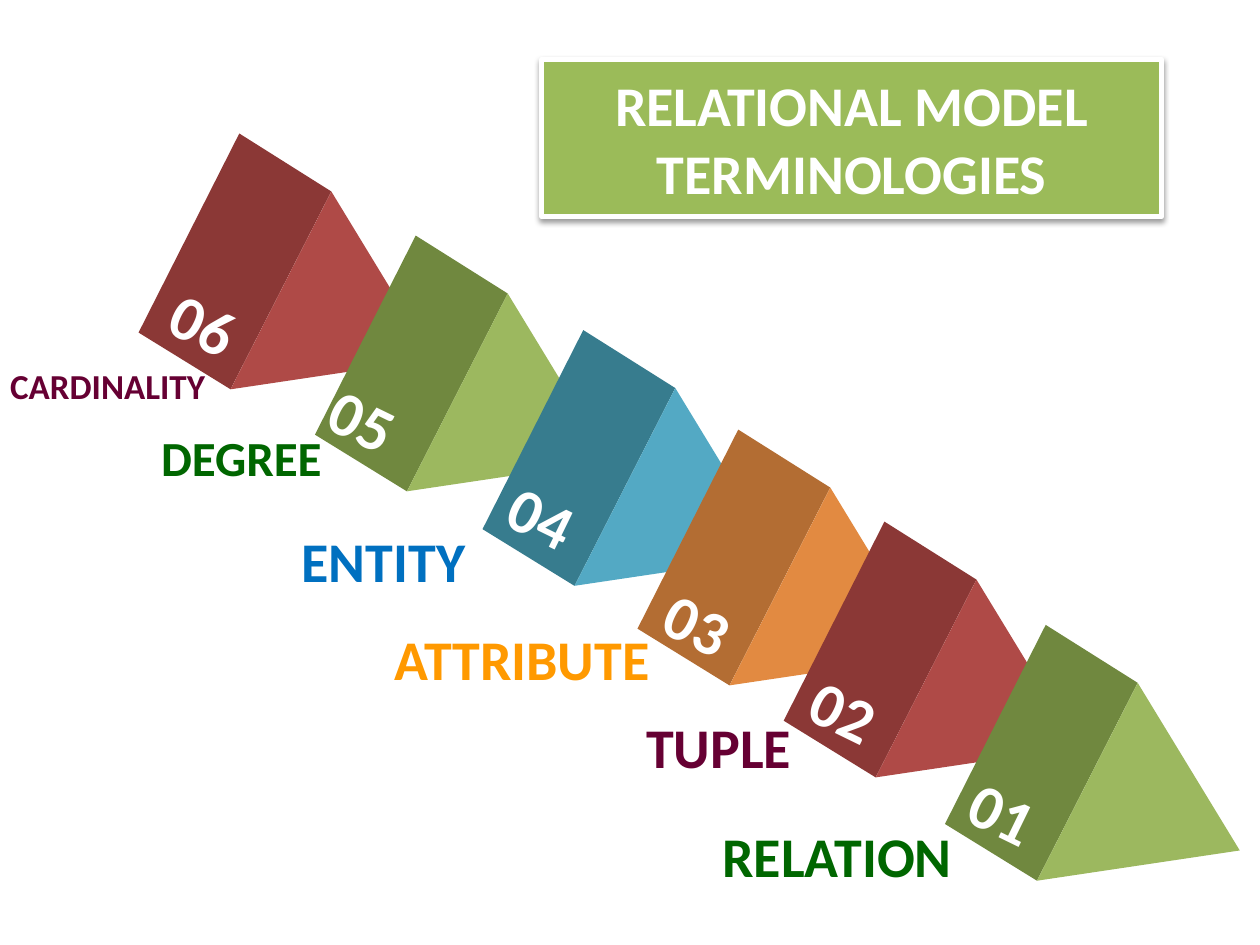
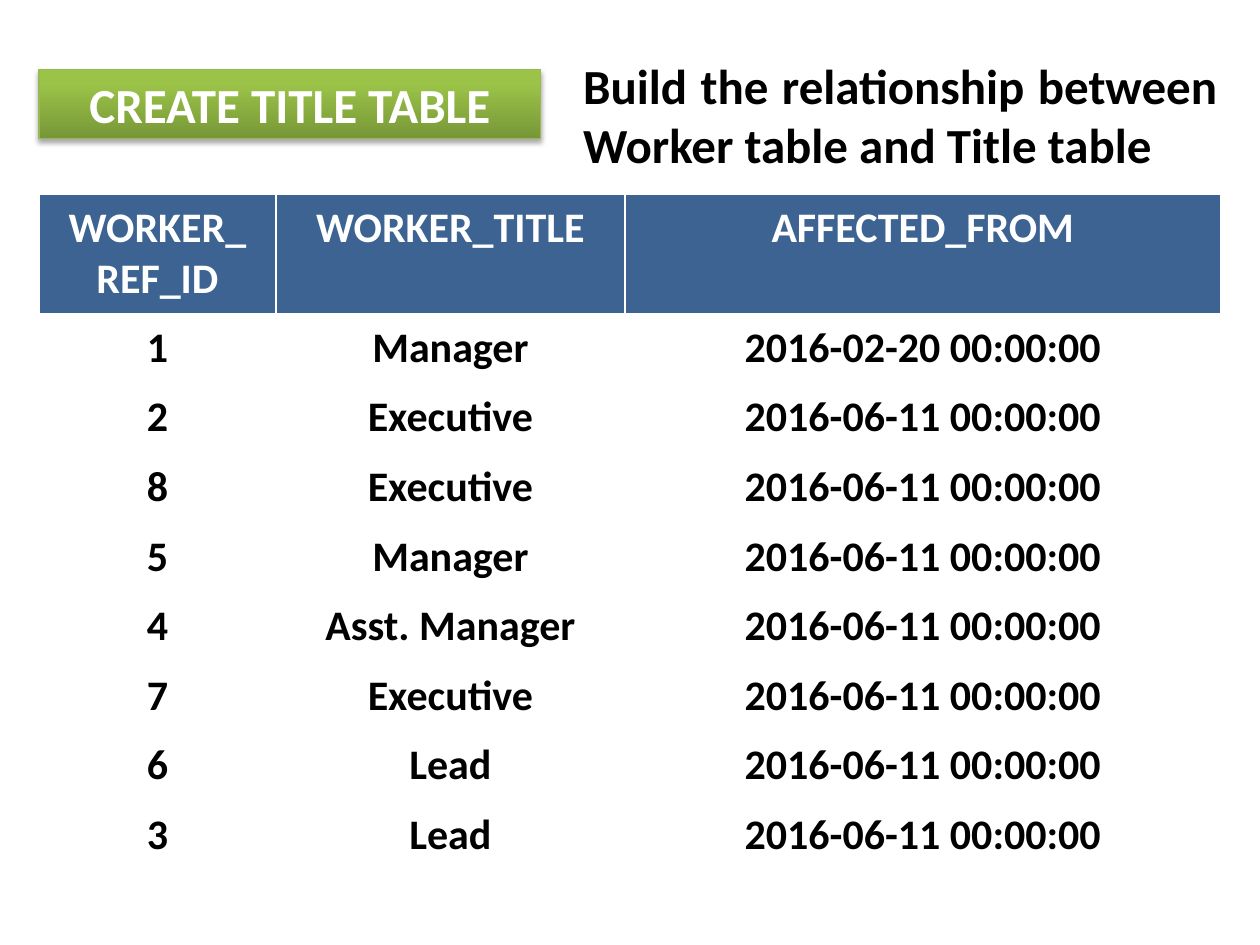
"""Build two slides on relational model terms and the title table."""
import pptx
import pptx.dml.color
import pptx.enum.shapes
import pptx.enum.text
import pptx.oxml
import pptx.oxml.ns
import pptx.util

COLORS = {
    "white": "FFFFFF", "black": "000000", "banner": "9BBB59", "header": "3D6392",
    "grad_dark": "779737", "grad_light": "9BC348", "grad_line": "98B955",
    "red": "AF4A47", "red_side": "8B3836", "green": "9CB85F", "green_side": "70883F",
    "blue": "53A9C4", "blue_side": "377C8E", "orange": "E28A41", "orange_side": "B36D33",
    "plum_text": "660033", "green_text": "006600", "blue_text": "0070C0",
    "orange_text": "FF9900",
}
RGB = {name: pptx.dml.color.RGBColor.from_string(h) for name, h in COLORS.items()}
CENTER = pptx.enum.text.PP_ALIGN.CENTER
RECT = pptx.enum.shapes.MSO_SHAPE.RECTANGLE

prs = pptx.Presentation()
prs.slide_width = pptx.util.Inches(10)
prs.slide_height = pptx.util.Inches(7.5)
COL = prs.slide_width // 100
ROW = prs.slide_height // 75


def write(tf, text, size, color, align=CENTER):
    """Set bold text in a frame."""
    tf.word_wrap = True
    tf.text = text
    for p in tf.paragraphs:
        p.alignment = align
        for r in p.runs:
            r.font.name = "Calibri"
            r.font.size = pptx.util.Pt(size)
            r.font.bold = True
            r.font.color.rgb = RGB[color]


def add_banner(slide, box, text, size, line, width, opacity):
    """Add a title rectangle with a soft shadow below it."""
    x, y, w, h = box
    sp = slide.shapes.add_shape(RECT, int(x * COL), int(y * ROW), int(w * COL), int(h * ROW))
    sp.line.color.rgb = RGB[line]
    sp.line.width = pptx.util.Pt(width)
    sp._element.spPr.append(pptx.oxml.parse_xml(
        f'<a:effectLst {pptx.oxml.ns.nsdecls("a")}>'
        '<a:outerShdw blurRad="40000" dist="22000" dir="5400000" rotWithShape="0">'
        f'<a:srgbClr val="{COLORS["black"]}"><a:alpha val="{opacity * 1000}"/></a:srgbClr>'
        '</a:outerShdw></a:effectLst>'))
    sp.text_frame.vertical_anchor = pptx.enum.text.MSO_ANCHOR.MIDDLE
    write(sp.text_frame, text, size, "white")
    return sp


s = prs.slides.add_slide(prs.slide_layouts[6])
sp = add_banner(s, (43, 4.7, 49.2, 12.5), "RELATIONAL MODEL TERMINOLOGIES", 32, "white", 3, 38)
sp.fill.solid()
sp.fill.fore_color.rgb = RGB["banner"]

SIDE = [(1.6, -4.2), (8.9, 0.4), (0.9, 16.1), (-6.4, 11.6)]
FRONT = [(8.9, 0.4), (17, 13.7), (0.9, 16.1)]
prisms = [
    ("06", "red", (17.4, 14.8), (12.9, 21.9)),
    ("05", "green", (31.4, 22.9), (25.5, 29.5)),
    ("04", "blue", (44.7, 30.4), (39.7, 37.2)),
    ("03", "orange", (57, 38.3), (52.1, 45.7)),
    ("02", "red", (68.6, 45.6), (63.7, 52.6)),
    ("01", "green", (81.4, 53.8), (76.3, 60.7)),
]
for number, color, (x, y), (num_x, num_y) in prisms:
    for face, fill in ((SIDE, color + "_side"), (FRONT, color)):
        points = [(int((x + dx) * COL), int((y + dy) * ROW)) for dx, dy in face]
        fb = s.shapes.build_freeform(*points[0])
        fb.add_line_segments(points[1:], close=True)
        sp = fb.convert_to_shape()
        sp.shadow.inherit = False
        sp.fill.solid()
        sp.fill.fore_color.rgb = RGB[fill]
        sp.line.fill.background()
    sp = s.shapes.add_textbox(int(num_x * COL), int(num_y * ROW), int(6.6 * COL), int(7.6 * ROW))
    sp.rotation = 26
    tf = sp.text_frame
    tf.margin_left = tf.margin_right = tf.margin_top = tf.margin_bottom = int(0.7 * COL)
    write(tf, number, 36, "white")
    tf.word_wrap = False

labels = [
    ("CARDINALITY", 20, "plum_text", -0.8, 28.4, 18.7, 4.4),
    ("DEGREE", 28, "green_text", 9.4, 33.4, 19.5, 5.7),
    ("ENTITY", 32, "blue_text", 14.8, 41.3, 31.3, 6.4),
    ("ATTRIBUTE", 32, "orange_text", 25.8, 49.1, 31.3, 6.4),
    ("TUPLE", 32, "plum_text", 41.4, 56.1, 31.3, 6.4),
    ("RELATION", 32, "green_text", 50.8, 64.7, 31.3, 6.4),
]
for text, size, color, x, y, w, h in labels:
    sp = s.shapes.add_textbox(int(x * COL), int(y * ROW), int(w * COL), int(h * ROW))
    write(sp.text_frame, text, size, color)

s = prs.slides.add_slide(prs.slide_layouts[6])
sp = add_banner(s, (3.1, 5.5, 39.8, 5.5), "CREATE TITLE TABLE", 28, "grad_line", 0.75, 35)
sp.fill.gradient()
sp.fill.gradient_angle = 90
for stop, position, color in zip(sp.fill.gradient_stops, (0, 0.8), ("grad_dark", "grad_light")):
    stop.position = position
    stop.color.rgb = RGB[color]

sp = s.shapes.add_textbox(int(45.3 * COL), int(3.9 * ROW), int(52.3 * COL), int(10.4 * ROW))
write(sp.text_frame, "Build the relationship between Worker table and Title table", 28, "black",
      pptx.enum.text.PP_ALIGN.JUSTIFY)

FIRST_DATE, LATER_DATE = "2016-02-20 00:00:00", "2016-06-11 00:00:00"
rows = [
    ("WORKER_REF_ID", "WORKER_TITLE", "AFFECTED_FROM"),
    ("1", "Manager", FIRST_DATE),
    ("2", "Executive", LATER_DATE),
    ("8", "Executive", LATER_DATE),
    ("5", "Manager", LATER_DATE),
    ("4", "Asst. Manager", LATER_DATE),
    ("7", "Executive", LATER_DATE),
    ("6", "Lead", LATER_DATE),
    ("3", "Lead", LATER_DATE),
]
table = s.shapes.add_table(len(rows), 3, int(3.1 * COL), int(15.4 * ROW),
                           int(93.8 * COL), int(53.7 * ROW)).table
for column, width in zip(table.columns, (18.8, 27.7, 47.3)):
    column.width = int(width * COL)
for i, row in enumerate(rows):
    table.rows[i].height = int((5.52 if i else 9.5) * ROW)
    for j, text in enumerate(row):
        cell = table.cell(i, j)
        cell.fill.solid()
        cell.fill.fore_color.rgb = RGB["white" if i else "header"]
        cell.margin_left = cell.margin_right = int(1.6 * COL)
        cell.margin_top = cell.margin_bottom = int(0.7 * ROW)
        write(cell.text_frame, text, 24, "black" if i else "white")

prs.save("out.pptx")
